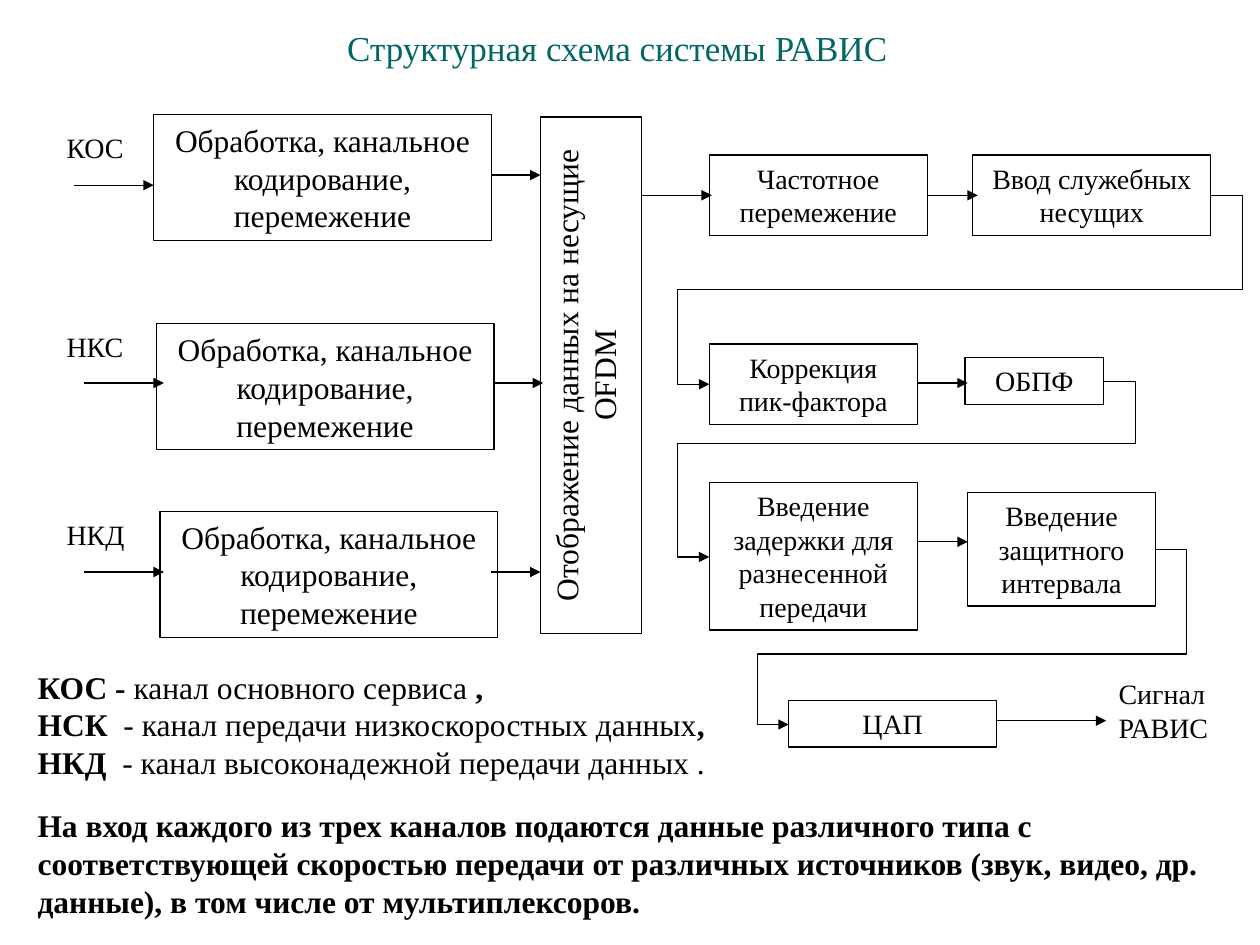
import dataclasses

import pptx
import pptx.dml.color
import pptx.enum.shapes
import pptx.enum.text
import pptx.oxml
import pptx.oxml.ns
import pptx.util

EMU_PER_PX = 9144  # 100 px to the inch


@dataclasses.dataclass(frozen=True)
class Theme:
    font: str = "Times New Roman"
    title_color: str = "006666"
    ink: str = "000000"
    title_size: int = 20
    large: int = 18
    small: int = 16
    line_width: float = 0.75


THEME = Theme()
ALIGN = pptx.enum.text.PP_ALIGN
ANCHOR = pptx.enum.text.MSO_ANCHOR
CONNECTOR = pptx.enum.shapes.MSO_CONNECTOR


def px(value):
    return pptx.util.Emu(value * EMU_PER_PX)


def rgb(value):
    return pptx.dml.color.RGBColor.from_string(value)


def set_attributes(target, values):
    for name, value in values.items():
        setattr(target, name, value)


def write_text(shape, paragraphs, size, align=ALIGN.LEFT, color=THEME.ink,
               anchor=ANCHOR.TOP, insets=(10, 5)):
    """Each paragraph is a list of (text, bold) runs."""
    frame = shape.text_frame
    horizontal, vertical = map(px, insets)
    set_attributes(frame, {
        "word_wrap": True, "vertical_anchor": anchor,
        "margin_left": horizontal, "margin_right": horizontal,
        "margin_top": vertical, "margin_bottom": vertical,
    })
    for index, runs in enumerate(paragraphs):
        paragraph = frame.add_paragraph() if index else frame.paragraphs[0]
        paragraph.alignment = align
        for text, bold in runs:
            run = paragraph.add_run()
            run.text = text
            set_attributes(run.font, {"name": THEME.font, "bold": bold,
                                      "size": pptx.util.Pt(size)})
            run.font.color.rgb = rgb(color)


def add_label(slide, box, paragraphs, size, **text_format):
    shape = slide.shapes.add_textbox(*map(px, box))
    write_text(shape, paragraphs, size, **text_format)


def add_block(slide, box, text, size, **text_format):
    shape = slide.shapes.add_shape(
        pptx.enum.shapes.MSO_SHAPE.RECTANGLE, *map(px, box))
    shape.shadow.inherit = False
    shape.fill.background()
    shape.line.color.rgb = rgb(THEME.ink)
    shape.line.width = pptx.util.Pt(THEME.line_width)
    write_text(shape, [[(text, False)]], size, align=ALIGN.CENTER, **text_format)
    return shape


def add_arrow(slide, start, end, kind=CONNECTOR.STRAIGHT):
    connector = slide.shapes.add_connector(kind, *map(px, (*start, *end)))
    connector.line.color.rgb = rgb(THEME.ink)
    connector.line.width = pptx.util.Pt(THEME.line_width)
    tail = pptx.oxml.parse_xml(
        f'<a:tailEnd {pptx.oxml.ns.nsdecls("a")} type="triangle"/>')
    connector.line._get_or_add_ln().append(tail)
    effects = pptx.oxml.parse_xml(
        f'<a:effectLst {pptx.oxml.ns.nsdecls("a")}/>')
    connector._element.spPr.append(effects)
    return connector


def add_return_arrow(slide, start, end, middle_y, overhang=25):
    """Leads from the end of one row round to the start of the next."""
    connector = add_arrow(slide, start, end, CONNECTOR.ELBOW)
    side = overhang / (start[0] - end[0])
    middle = (middle_y - start[1]) / (end[1] - start[1])
    guides = "".join(
        f'<a:gd name="adj{number}" fmla="val {round(ratio * 100000)}"/>'
        for number, ratio in enumerate((-side, middle, 1 + side), 1))
    geometry = connector._element.spPr.find(pptx.oxml.ns.qn("a:prstGeom"))
    replacement = pptx.oxml.parse_xml(
        f'<a:prstGeom {pptx.oxml.ns.nsdecls("a")} prst="bentConnector5">'
        f'<a:avLst>{guides}</a:avLst></a:prstGeom>')
    geometry.getparent().replace(geometry, replacement)


def add_channels(slide):
    # Name, label top, block left and top, input arrow left and y
    channels = [
        ("КОС", 99, 122, 91, 59, 147),
        ("НКС", 257, 124, 257, 67, 304),
        ("НКД", 406, 127, 406, 67, 454),
    ]
    for name, label_top, left, top, arrow_left, arrow_y in channels:
        add_label(slide, (43, label_top, 75, 37), [[(name, False)]], THEME.small)
        add_block(slide, (left, top, 268, 100),
                  "Обработка, канальное кодирование, перемежение", THEME.large)
        add_arrow(slide, (arrow_left, arrow_y), (arrow_left + 63, arrow_y))

    # Carrier mapping, with its text reading upwards
    mapping = add_block(slide, (429, 93, 80, 410),
                        "Отображение данных на несущие OFDM", THEME.large,
                        insets=(5, 10))
    mapping.text_frame._txBody.bodyPr.set("vert", "vert270")


def add_signal_chain(slide):
    blocks = [
        ("Частотное перемежение", (563, 123, 173, 64)),
        ("Ввод служебных несущих", (772, 123, 189, 64)),
        ("Коррекция пик-фактора", (563, 273, 165, 64)),
        ("ОБПФ", (766, 284, 110, 37)),
        ("Введение задержки для разнесенной передачи", (563, 383, 165, 117)),
        ("Введение защитного интервала", (768, 391, 149, 90)),
        ("ЦАП", (626, 556, 165, 37)),
    ]
    for text, box in blocks:
        add_block(slide, box, text, THEME.small)
    add_label(slide, (878, 532, 102, 64), [[("Сигнал РАВИС", False)]], THEME.small)

    # Straight arrows: left, right, y
    for left, right, y in [
        (390, 429, 139), (391, 431, 304), (390, 429, 454),
        (509, 565, 155), (736, 776, 155), (728, 768, 304),
        (728, 768, 430), (791, 878, 572),
    ]:
        add_arrow(slide, (left, y), (right, y))

    # Row returns
    add_return_arrow(slide, (961, 155), (563, 305), 230)
    add_return_arrow(slide, (876, 303), (563, 442), 352)
    add_return_arrow(slide, (917, 436), (626, 575), 519)


def add_notes_below(slide):
    legend = [
        [("КОС - ", True), ("канал основного сервиса ", False), (",", True)],
        [("НСК ", True), (" - канал передачи низкоскоростных данных", False),
         (",", True)],
        [("НКД ", True), (" - канал высоконадежной передачи данных .", False)],
    ]
    summary = (
        "На вход каждого из трех каналов подаются данные различного типа с "
        "соответствующей скоростью передачи от различных источников (звук, "
        "видео, др. данные), в том числе от мультиплексоров.")
    add_label(slide, (20, 525, 622, 100), legend, THEME.large)
    add_label(slide, (20, 635, 980, 100), [[(summary, True)]], THEME.large)


def main():
    presentation = pptx.Presentation()
    presentation.slide_width, presentation.slide_height = px(1000), px(750)
    slide = presentation.slides.add_slide(presentation.slide_layouts[6])
    add_label(slide, (90, 5, 800, 54),
              [[("Структурная схема системы РАВИС", False)]], THEME.title_size,
              align=ALIGN.CENTER, color=THEME.title_color, anchor=ANCHOR.BOTTOM)
    add_channels(slide)
    add_signal_chain(slide)
    add_notes_below(slide)
    presentation.save("out.pptx")


if __name__ == "__main__":
    main()
